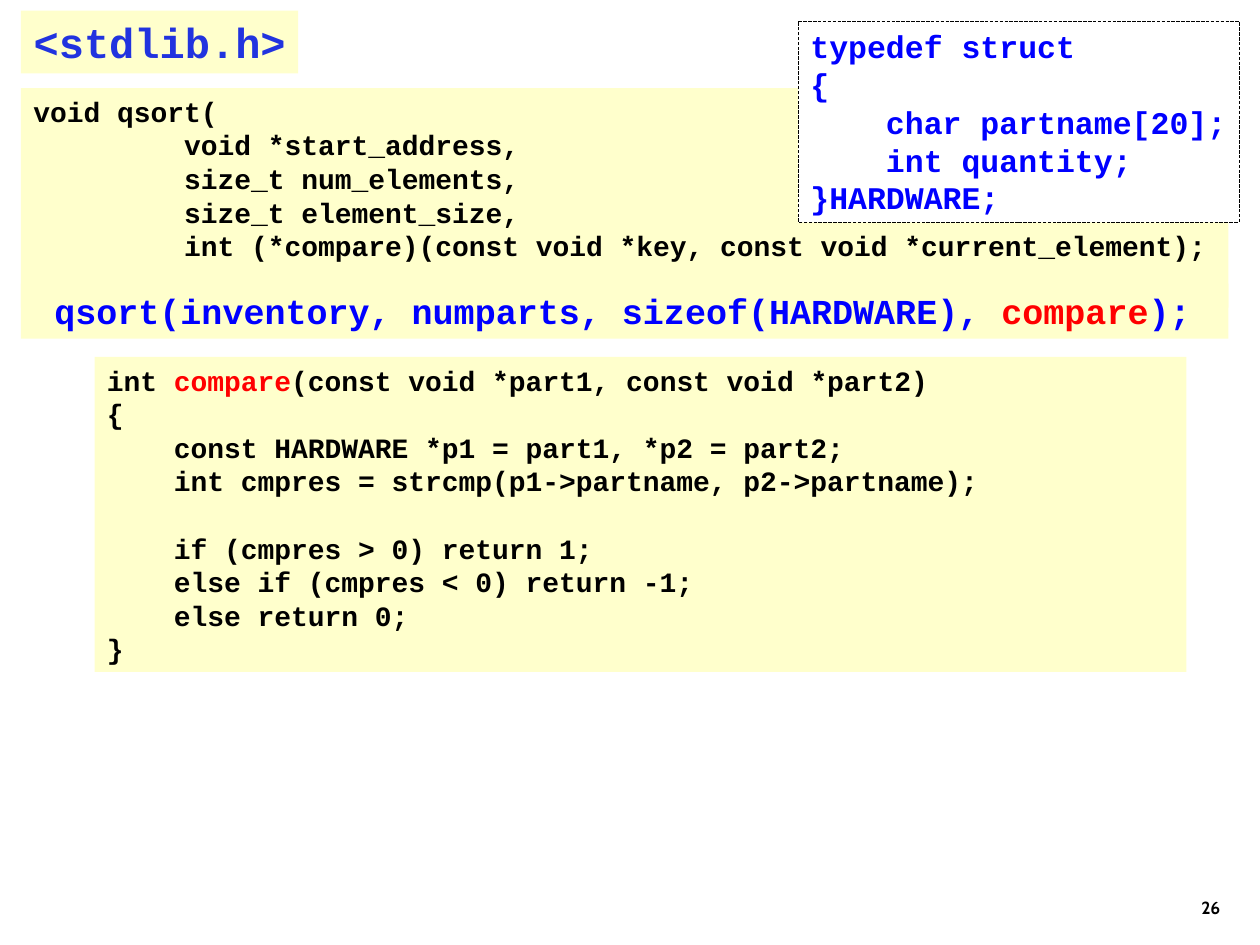
"""Build a slide on sorting structures with qsort from stdlib.h."""
import pptx
import pptx.dml.color
import pptx.enum.dml
import pptx.enum.shapes
import pptx.enum.text
import pptx.util

RGBColor = pptx.dml.color.RGBColor
BLACK = RGBColor(0, 0, 0)
BLUE = RGBColor(0, 0, 255)
RED = RGBColor(255, 0, 0)
TITLE_BLUE = RGBColor(0x21, 0x33, 0xDF)
CREAM = RGBColor(255, 255, 204)
WHITE = RGBColor(255, 255, 255)

CELL = pptx.util.Inches(1 / 12)
COLUMNS, ROWS = 120, 90
LEFT, WIDE = 2, 115
CODE_FONT = "Courier New"

PROTOTYPE = """void qsort(
         void *start_address,
         size_t num_elements,
         size_t element_size,
         int (*compare)(const void *key, const void *current_element);"""

STRUCT = """typedef struct
{
    char partname[20];
    int quantity;
}HARDWARE;"""

CALL = " qsort(inventory, numparts, sizeof(HARDWARE), compare);"

COMPARE = """int compare(const void *part1, const void *part2)
{
    const HARDWARE *p1 = part1, *p2 = part2;
    int cmpres = strcmp(p1->partname, p2->partname);

    if (cmpres > 0) return 1;
    else if (cmpres < 0) return -1;
    else return 0;
}"""


def grid(*cells):
    """Turn grid columns and rows into lengths."""
    return [round(n * CELL) for n in cells]


def style(font, name, size, color):
    """Set a bold font."""
    font.name, font.size, font.bold = name, pptx.util.Pt(size), True
    font.color.rgb = color


def fill(sp, color):
    """Give a shape a solid fill."""
    sp.fill.solid()
    sp.fill.fore_color.rgb = color


def setup_text(tf, wrap, anchor):
    """Set the wrapping and anchor of a text frame."""
    tf.word_wrap = wrap
    tf.auto_size = pptx.enum.text.MSO_AUTO_SIZE.NONE
    tf.vertical_anchor = anchor


def add_title(s, text, place):
    """Move and format the title placeholder."""
    sp = s.shapes.title
    sp.left, sp.top, sp.width, sp.height = grid(*place)
    fill(sp, CREAM)
    tf = sp.text_frame
    tf.text = text
    setup_text(tf, False, pptx.enum.text.MSO_ANCHOR.TOP)
    tf.margin_right = 0
    p = tf.paragraphs[0]
    p.alignment = pptx.enum.text.PP_ALIGN.LEFT
    style(p.runs[0].font, CODE_FONT, 24, TITLE_BLUE)


def add_code(s, code, place, size, color=BLACK, back=CREAM, wrap=True, mark=None):
    """Add a filled box of code, with one word marked in red."""
    sp = s.shapes.add_shape(pptx.enum.shapes.MSO_SHAPE.RECTANGLE, *grid(*place))
    sp.shadow.inherit = False
    fill(sp, back)
    sp.line.fill.background()
    tf = sp.text_frame
    setup_text(tf, wrap, pptx.enum.text.MSO_ANCHOR.TOP)
    for i, line in enumerate(code.split("\n")):
        p = tf.add_paragraph() if i else tf.paragraphs[0]
        p.alignment = pptx.enum.text.PP_ALIGN.LEFT
        p._p.get_or_add_endParaRPr().set("sz", str(size * 100))
        for part in filter(None, line.partition(mark) if mark else [line]):
            r = p.add_run()
            r.text = part
            style(r.font, CODE_FONT, size, RED if part == mark else color)
    return sp


def add_border(sp):
    """Draw a thin dashed outline."""
    sp.line.color.rgb = BLACK
    sp.line.width = pptx.util.Pt(0.25)
    sp.line.dash_style = pptx.enum.dml.MSO_LINE.LONG_DASH


def add_page_number(s, number, place):
    """Add the page number at the lower right."""
    tf = s.shapes.add_textbox(*grid(*place)).text_frame
    tf.text = str(number)
    setup_text(tf, True, pptx.enum.text.MSO_ANCHOR.BOTTOM)
    p = tf.paragraphs[0]
    p.alignment = pptx.enum.text.PP_ALIGN.RIGHT
    style(p.runs[0].font, "Cabin", 10, BLACK)


def main():
    """Build and save the slide."""
    prs = pptx.Presentation()
    prs.slide_width, prs.slide_height = grid(COLUMNS, ROWS)
    s = prs.slides.add_slide(prs.slide_layouts[5])
    add_title(s, "<stdlib.h>", (LEFT, 1, 26.4, 6))
    add_code(s, PROTOTYPE, (LEFT, 8.4, WIDE, 20.9), 16)
    add_border(add_code(s, STRUCT, (76, 2, 42, 19.2), 18, BLUE, WHITE, wrap=False))
    add_code(s, CALL, (LEFT, 27, WIDE, 5.25), 20, BLUE, mark="compare")
    add_code(s, COMPARE, (9, 34, 104, 30), 16, mark="compare")
    add_page_number(s, 26, (92.4, 82, 25, 6))
    prs.save("out.pptx")


if __name__ == "__main__":
    main()
